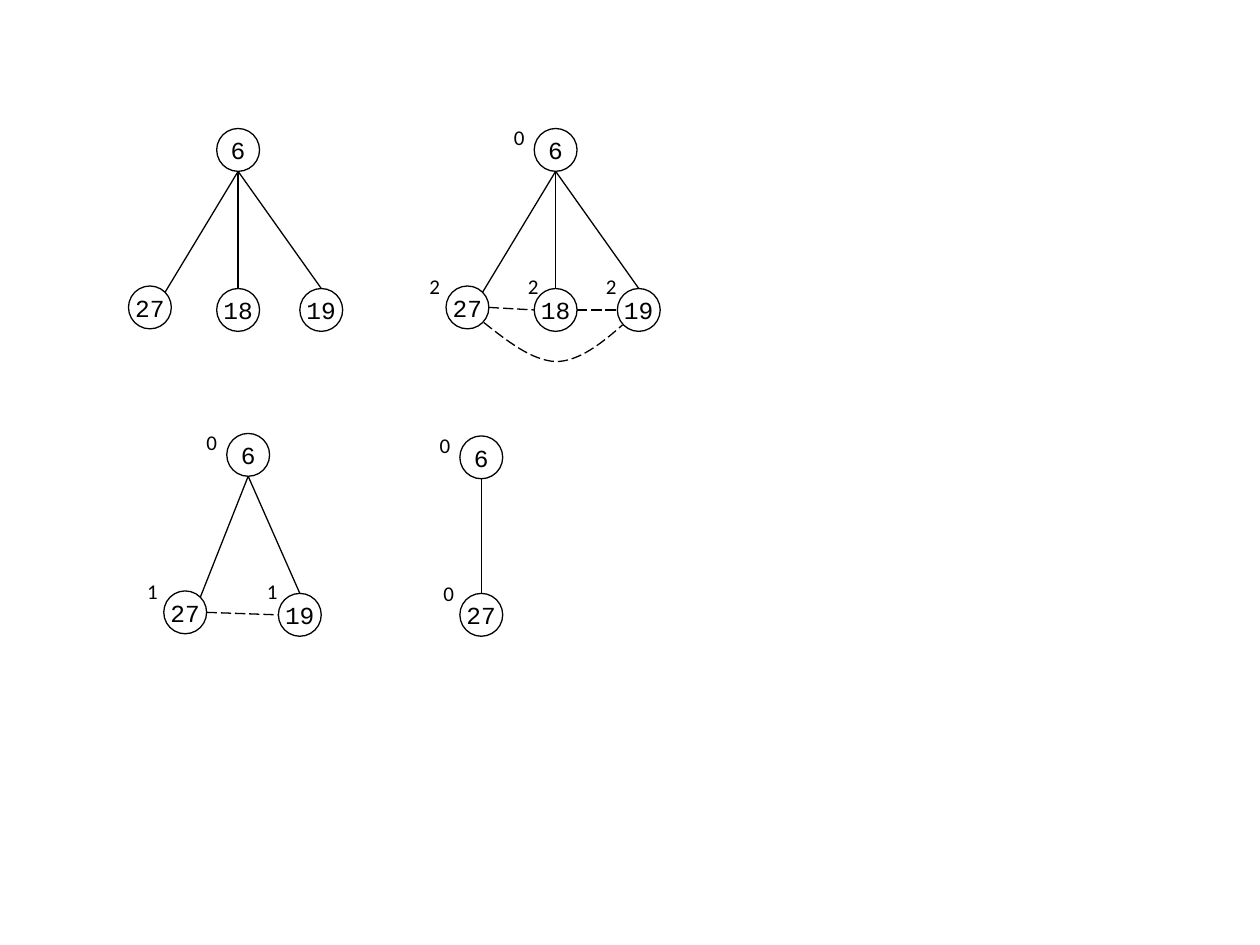
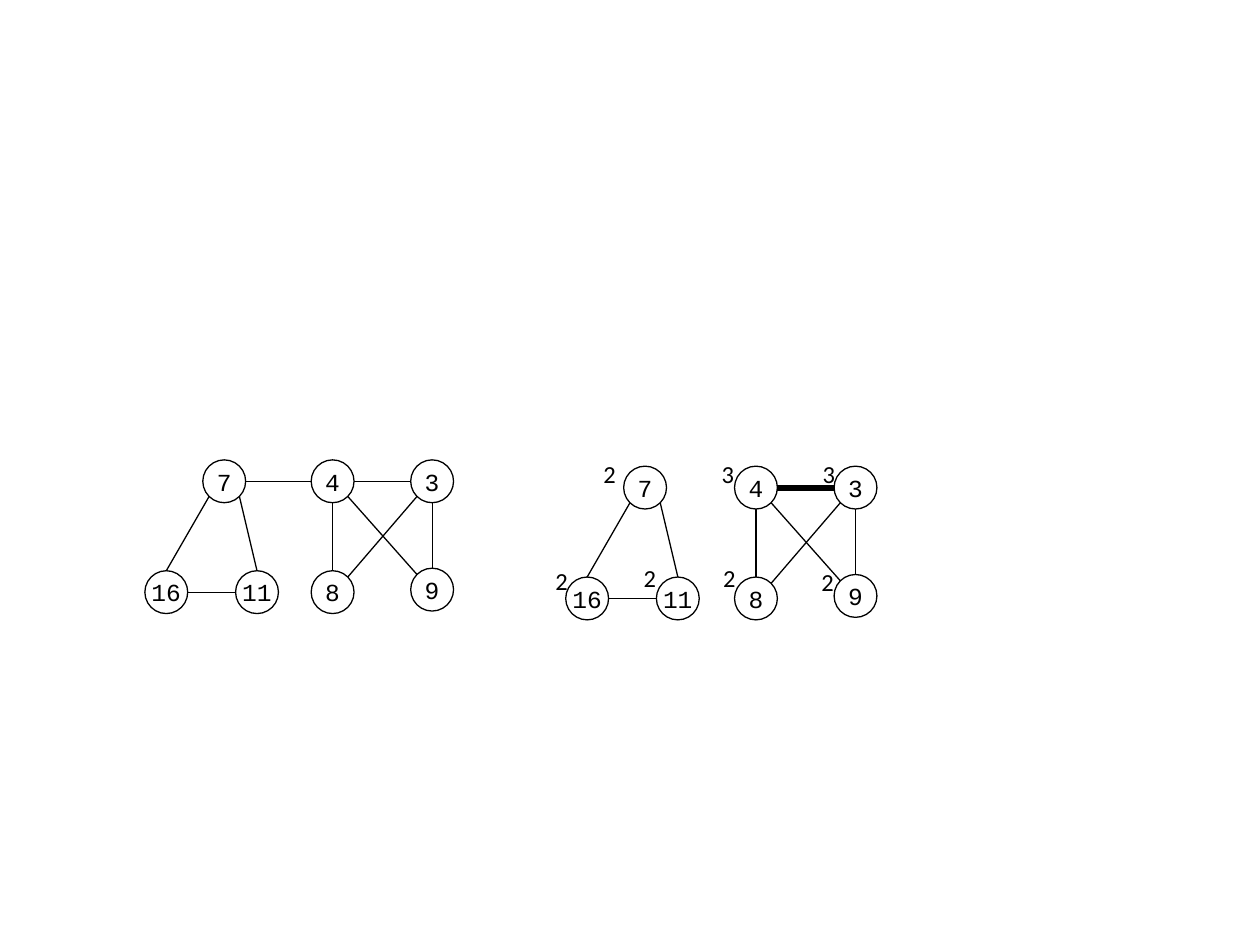
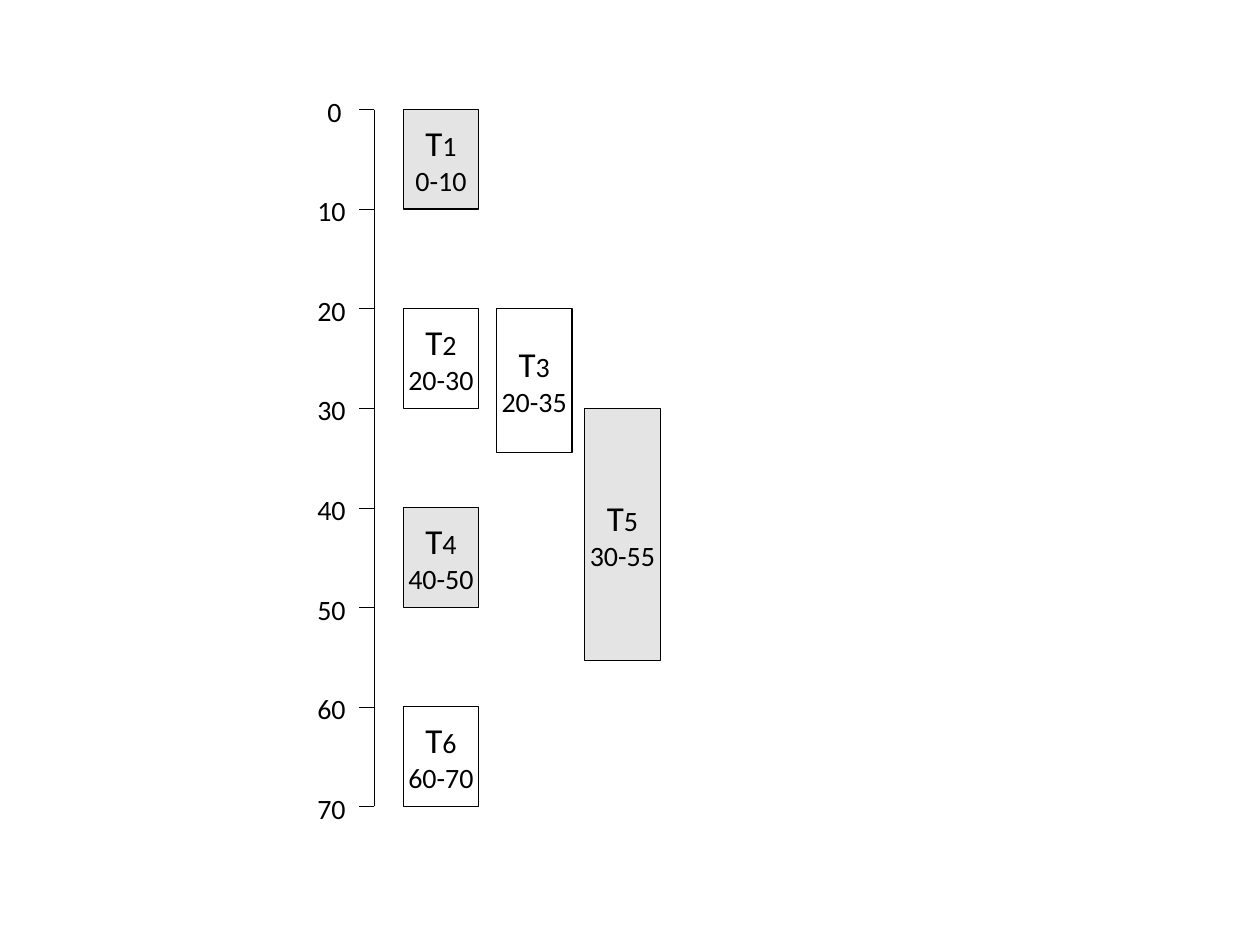
"""Draw three slides: conflict trees, interval graphs and a task timeline."""
from lxml import etree
from pptx import Presentation
from pptx.dml.color import RGBColor
from pptx.enum.dml import MSO_LINE
from pptx.enum.shapes import MSO_CONNECTOR, MSO_SHAPE
from pptx.enum.text import MSO_ANCHOR, MSO_AUTO_SIZE, PP_ALIGN
from pptx.oxml.ns import qn
from pptx.util import Inches, Pt

STRAIGHT = MSO_CONNECTOR.STRAIGHT
ELLIPSE, RECTANGLE = MSO_SHAPE.OVAL, MSO_SHAPE.RECTANGLE
LONG_DASH = MSO_LINE.LONG_DASH
CENTER, LEFT = PP_ALIGN.CENTER, PP_ALIGN.LEFT
MIDDLE = MSO_ANCHOR.MIDDLE
GROW = MSO_AUTO_SIZE.SHAPE_TO_FIT_TEXT

COLUMNS = 10
BLANK_LAYOUT = 6
INK, SHADE = "000000", "D9D9D9"
TEXT_FONT, NODE_FONT = "Calibri", "Courier New"
THIN, NORMAL, THICK = 0.25, 0.75, 3.5

NODE = 0.34
SITES = {"N": (0.17, 0), "S": (0.17, NODE), "W": (0, 0.17), "E": (NODE, 0.17),
         "NE": (0.29, 0.05), "NW": (0.05, 0.05), "SE": (0.29, 0.29), "SW": (0.05, 0.29)}
DEGREE_OFFSETS = {
    "6": (-0.26, -0.08), "27": (-0.23, -0.15), "18": (-0.15, -0.17),
    "19": (-0.19, -0.17), "7": (-0.26, -0.11), "16": (-0.18, -0.14),
    "11": (-0.2, -0.16), "4": (-0.2, -0.11), "3": (-0.19, -0.11),
    "8": (-0.19, -0.16), "9": (-0.2, -0.11),
}

FAN = {"6": (0.7, 0), "18": (0.7, 1.27), "19": (1.36, 1.27), "27": (0, 1.25)}
FAN_EDGES = [("6", "S", "19", "N"), ("6", "S", "18", "N"), ("6", "S", "27", "NE")]
FAN_CONFLICTS = [("27", "E", "18", "W"), ("18", "E", "19", "W")]
FAN_ARC = [(0.3, 1.54), (0.49, 1.69), (0.68, 1.84), (0.87, 1.85),
           (1.05, 1.85), (1.23, 1.71), (1.4, 1.56)]
FORK = {"6": (0.5, 0), "19": (0.91, 1.27), "27": (0, 1.25)}
FORK_EDGES = [("6", "S", "19", "N"), ("6", "S", "27", "NE")]
PAIR = {"6": (0, 0), "27": (0, 1.25)}

TRIANGLE = {"7": (0.46, 0), "11": (0.72, 0.88), "16": (0, 0.88)}
TRIANGLE_EDGES = [("7", "SW", "16", "N"), ("11", "W", "16", "E"), ("7", "SE", "11", "N")]
SQUARE = {"3": (0.79, 0), "4": (0, 0), "8": (0, 0.88), "9": (0.79, 0.86)}
SQUARE_EDGES = [("3", "S", "9", "N"), ("4", "S", "8", "N"),
                ("4", "SE", "9", "NW"), ("3", "SW", "8", "NE")]

AXIS_X, AXIS_TOP, TICK_STEP = 2.97, 0.87, 0.79
LANES = (3.2, 3.94, 4.64)
TASKS = [
    ("1", 0, 10, 0, 0.79, True), ("2", 20, 30, 0, 0.79, False),
    ("3", 20, 35, 1, 1.14, False), ("4", 40, 50, 0, 0.79, True),
    ("6", 60, 70, 0, 0.79, False), ("5", 30, 55, 2, 2, True),
]


def color(value):
    """Turn a hex string into a colour."""
    return RGBColor.from_string(value)


class Sketch:
    """Hold the deck, its grid and the current page."""

    def __init__(self):
        """Start a deck with square grid cells."""
        self.deck = Presentation()
        self.deck.slide_width, self.deck.slide_height = Inches(10), Inches(7.5)
        self.cell = self.deck.slide_width / COLUMNS
        self.page = None

    def new_page(self):
        """Add a blank page and make it current."""
        self.page = self.deck.slides.add_slide(self.deck.slide_layouts[BLANK_LAYOUT])

    def grid(self, *lengths):
        """Convert grid lengths to slide units."""
        return [round(length * self.cell) for length in lengths]

    def stroke(self, line, width=NORMAL, dashed=False):
        """Style an outline or a connector."""
        line.color.rgb = color(INK)
        line.width = Pt(width)
        if dashed:
            line.dash_style = LONG_DASH

    def style_text(self, paragraph, size, font=TEXT_FONT, align=LEFT):
        """Style one paragraph."""
        paragraph.alignment = align
        paragraph.font.name, paragraph.font.size = font, Pt(size)
        paragraph.font.color.rgb = color(INK)

    def outline(self, kind, left, top, width, height):
        """Add an unfilled shape ready for centred text."""
        shape = self.page.shapes.add_shape(kind, *self.grid(left, top, width, height))
        shape.shadow.inherit = False
        shape.fill.background()
        self.stroke(shape.line)
        shape.text_frame.word_wrap = False
        shape.text_frame.vertical_anchor = MIDDLE
        return shape

    def node(self, left, top, name):
        """Add a numbered circle."""
        paragraph = self.outline(ELLIPSE, left, top, NODE, NODE).text_frame.paragraphs[0]
        paragraph.text = name
        self.style_text(paragraph, 14, NODE_FONT, CENTER)

    def label(self, left, top, width, height, text, size):
        """Add a one-line text box."""
        frame = self.page.shapes.add_textbox(*self.grid(left, top, width, height)).text_frame
        frame.word_wrap = False
        frame.auto_size = GROW
        frame.text = text
        self.style_text(frame.paragraphs[0], size)

    def line(self, start, end, width=NORMAL, dashed=False):
        """Add a straight line without a shadow."""
        connector = self.page.shapes.add_connector(STRAIGHT, *self.grid(*start, *end))
        self.stroke(connector.line, width, dashed)
        etree.SubElement(connector.element.spPr, qn("a:effectLst"))

    def curve(self, points):
        """Add a dashed curve through groups of three control points."""
        start, *controls = [self.grid(*point) for point in points]
        builder = self.page.shapes.build_freeform(*start)
        builder.add_line_segments(controls, close=False)
        shape = builder.convert_to_shape()
        shape.shadow.inherit = False
        shape.fill.background()
        self.stroke(shape.line, dashed=True)
        segments = list(shape.element.iter(qn("a:lnTo")))
        for first in range(0, len(segments), 3):
            bezier = etree.Element(qn("a:cubicBezTo"))
            segments[first].addprevious(bezier)
            for segment in segments[first:first + 3]:
                bezier.append(segment[0])
                segment.getparent().remove(segment)

    def graph(self, origin, nodes, edges):
        """Add circles and their edges, and return the circle places."""
        places = {name: (origin[0] + x, origin[1] + y) for name, (x, y) in nodes.items()}
        for name, place in places.items():
            self.node(*place, name)
        self.edges(places, edges)
        return places

    def edges(self, places, edges, width=NORMAL, dashed=False):
        """Join circles at their compass points."""
        for first, leave, second, arrive in edges:
            start, end = (
                [place + shift for place, shift in zip(places[name], SITES[site])]
                for name, site in ((first, leave), (second, arrive)))
            self.line(start, end, width, dashed)

    def degrees(self, places, values, size, width, height):
        """Put a degree beside each named circle."""
        for name, value in values.items():
            left, top = (a + b for a, b in zip(places[name], DEGREE_OFFSETS[name]))
            self.label(left, top, width, height, value, size)

    def task(self, number, start, end, lane, height, shaded):
        """Add a task block on the timeline."""
        top = AXIS_TOP + start / 10 * TICK_STEP
        block = self.outline(RECTANGLE, LANES[lane], top, 0.6, height)
        if shaded:
            block.fill.solid()
            block.fill.fore_color.rgb = color(SHADE)
            tint = next(block.element.spPr.iter(qn("a:srgbClr")))
            etree.SubElement(tint, qn("a:alpha"), val="70000")
        title = block.text_frame.paragraphs[0]
        self.style_text(title, 16, align=CENTER)
        for text, size in (("T", 20), (number, 16)):
            span = title.add_run()
            span.text, span.font.size = text, Pt(size)
        period = block.text_frame.add_paragraph()
        period.text = f"{start}-{end}"
        self.style_text(period, 16, align=CENTER)


def draw_trees(sketch):
    """Draw the tree as its leaves are removed."""
    sketch.new_page()
    box = (12, 0.29, 0.3)
    sketch.graph((1.02, 1.02), FAN, FAN_EDGES)
    origin = (3.54, 1.02)
    fan = sketch.graph(origin, FAN, FAN_EDGES)
    sketch.edges(fan, FAN_CONFLICTS, dashed=True)
    sketch.curve([(origin[0] + x, origin[1] + y) for x, y in FAN_ARC])
    sketch.degrees(fan, {"6": "0", "27": "2", "18": "2", "19": "2"}, *box)
    fork = sketch.graph((1.3, 3.44), FORK, FORK_EDGES)
    sketch.edges(fork, [("27", "E", "19", "W")], dashed=True)
    sketch.degrees(fork, {"6": "0", "27": "1", "19": "1"}, *box)
    pair = sketch.graph((3.65, 3.46), PAIR, [("6", "S", "27", "N")])
    sketch.degrees(pair, {"6": "0", "27": "0"}, *box)


def draw_graphs(sketch):
    """Draw the joined graph and its two separate parts."""
    sketch.new_page()
    box = (14, 0.3, 0.34)
    bridge, top_edge = [("4", "W", "7", "E")], [("3", "W", "4", "E")]
    triangle = sketch.graph((1.15, 3.65), TRIANGLE, TRIANGLE_EDGES)
    square = sketch.graph((2.47, 3.65), SQUARE, SQUARE_EDGES)
    sketch.edges({**triangle, **square}, bridge + top_edge)
    triangle = sketch.graph((4.49, 3.7), TRIANGLE, TRIANGLE_EDGES)
    square = sketch.graph((5.83, 3.7), SQUARE, SQUARE_EDGES)
    sketch.edges(square, top_edge, THICK)
    sketch.degrees(triangle, {"7": "2", "16": "2", "11": "2"}, *box)
    sketch.degrees(square, {"8": "2", "9": "2", "4": "3", "3": "3"}, *box)


def draw_timeline(sketch):
    """Draw the time axis and the tasks along it."""
    sketch.new_page()
    for step in range(8):
        y = AXIS_TOP + step * TICK_STEP
        sketch.line((AXIS_X - 0.12, y), (AXIS_X, y), THIN)
        left, width = (2.42, 0.43) if step else (2.5, 0.32)
        sketch.label(left, y - 0.17, width, 0.37, str(step * 10), 16)
    sketch.line((AXIS_X, AXIS_TOP), (AXIS_X, AXIS_TOP + 7 * TICK_STEP))
    for task in TASKS:
        sketch.task(*task)


def main():
    """Build and save the deck."""
    sketch = Sketch()
    draw_trees(sketch)
    draw_graphs(sketch)
    draw_timeline(sketch)
    sketch.deck.save("out.pptx")


if __name__ == "__main__":
    main()
